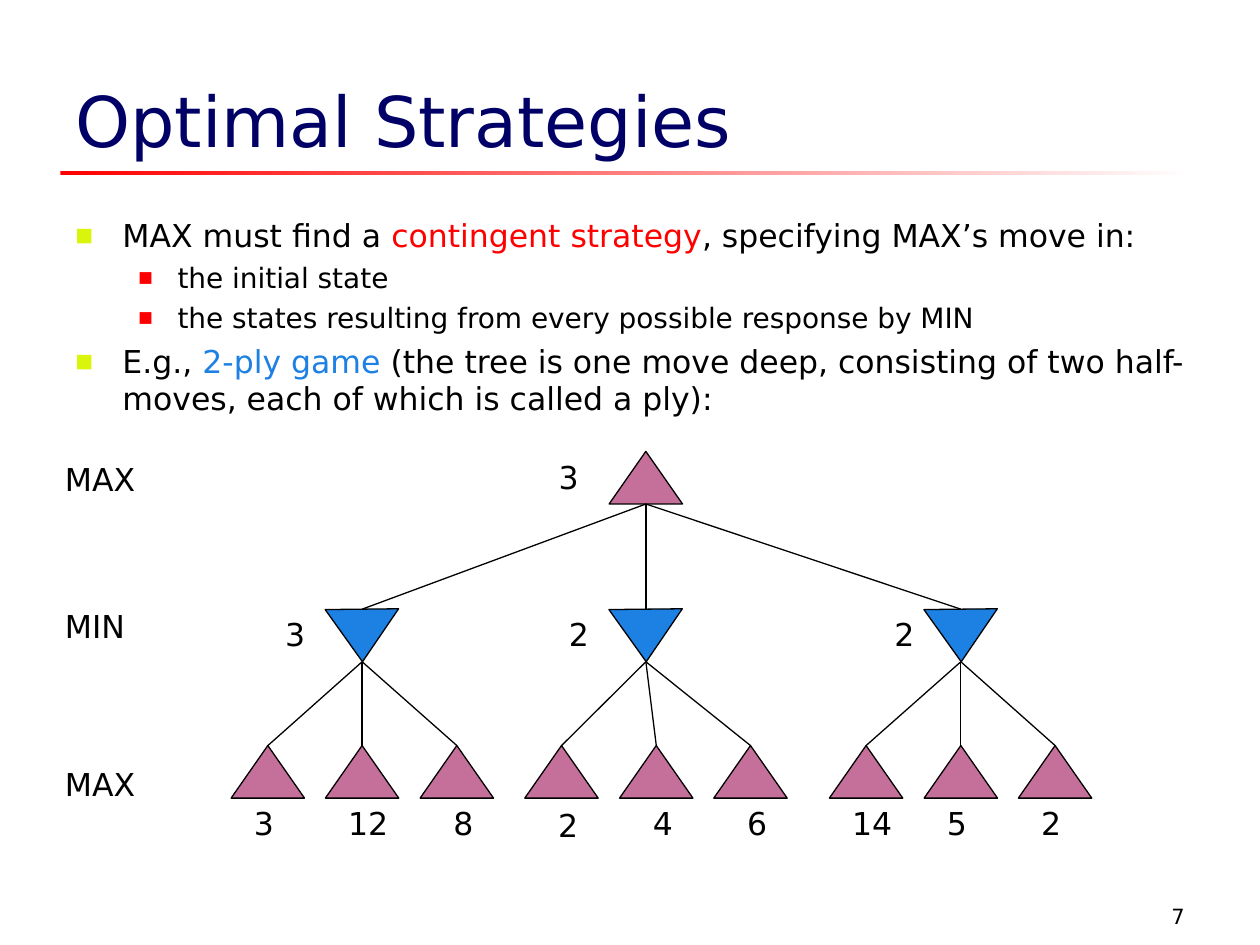
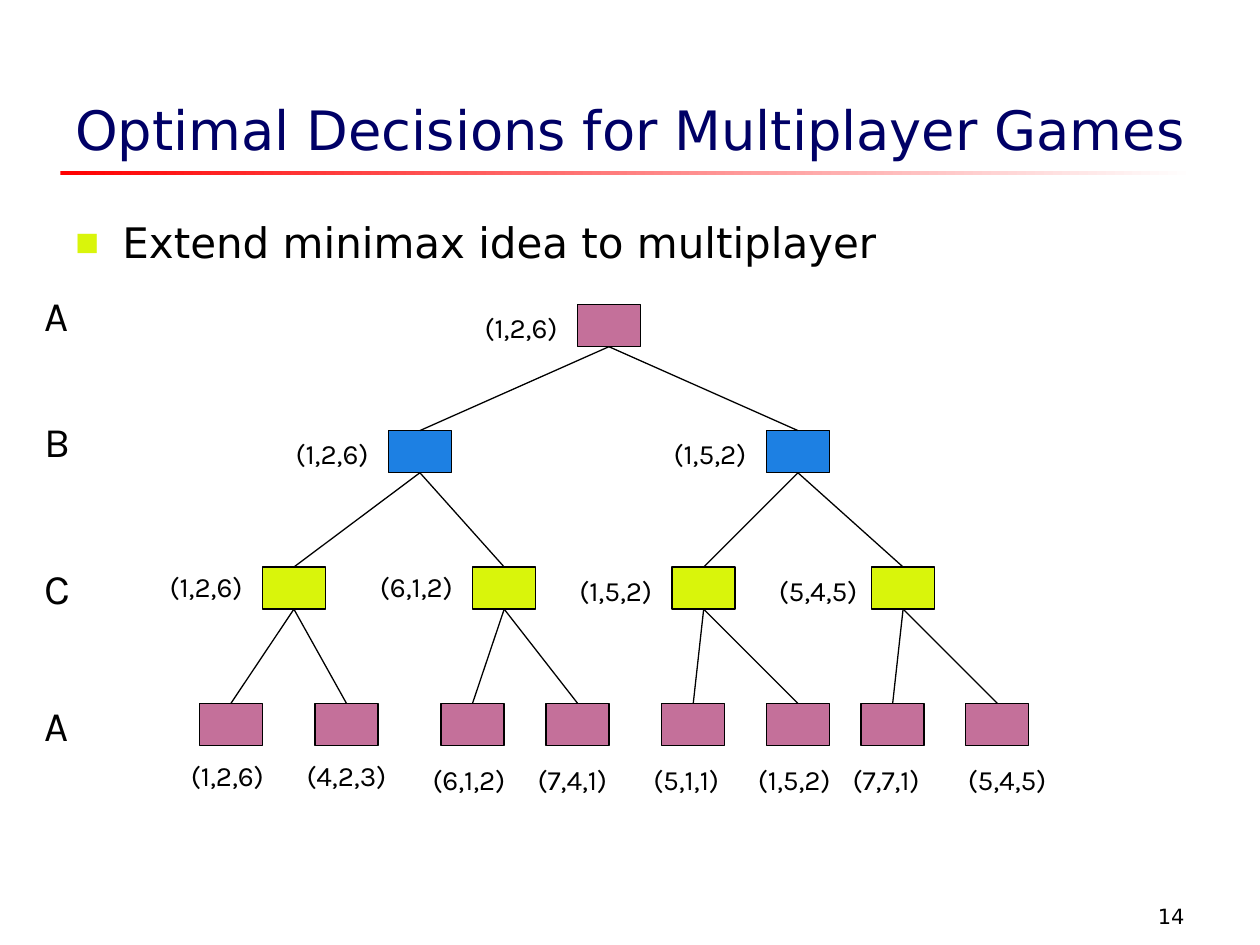
import lxml.etree
import pptx
import pptx.dml.color
import pptx.enum.shapes
import pptx.enum.text
import pptx.oxml.ns
import pptx.util

Cm = pptx.util.Cm
Pt = pptx.util.Pt
RGBColor = pptx.dml.color.RGBColor
SHAPE = pptx.enum.shapes.MSO_SHAPE
ANCHOR = pptx.enum.text.MSO_ANCHOR
ALIGN = pptx.enum.text.PP_ALIGN

BLACK = RGBColor(0x00, 0x00, 0x00)
WHITE = RGBColor(0xFF, 0xFF, 0xFF)
NAVY = RGBColor(0x00, 0x00, 0x66)
RED = RGBColor(0xFF, 0x00, 0x00)
BLUE = RGBColor(0x1D, 0x80, 0xE3)
PINK = RGBColor(0xC4, 0x70, 0x9A)
LIME = RGBColor(0xD9, 0xF5, 0x0B)

MAIN_FONT = "DejaVu Sans"
PLAYER_FONT = "Karla"

# Bullet styles by level: left margin, hanging indent (cm), colour, size (%)
BULLETS = [(0.95, 0.95, LIME, 60), (2.06, 0.79, RED, 55)]

# Content. Lengths in cm. A tree row holds the player's name and its top, the
# top of the nodes, their colour and rotation, and the nodes themselves:
# (left, value, value offset across, value offset down).
SLIDES = [
    {
        "number": "7",
        "title": ("Optimal Strategies", 40),
        "body": [
            (0, 18, [("MAX must find a ", BLACK), ("contingent strategy", RED),
                     (", specifying MAX’s move in:", BLACK)]),
            (1, 16, [("the initial state", BLACK)]),
            (1, 16, [("the states resulting from every possible response by MIN", BLACK)]),
            (0, 18, [("E.g., ", BLACK), ("2-ply game", BLUE),
                     (" (the tree is one move deep, consisting of two half-moves, "
                      "each of which is called a ply):", BLACK)]),
        ],
        "body_height": 5.08,
        "tree": {
            "shape": SHAPE.ISOSCELES_TRIANGLE,
            "node_size": (1.48, 1.06),
            "font": MAIN_FONT,
            "player_box": (1.06, 3.81, 1.02, 18),   # left, width, height, points
            "value_box": (1.48, 1.02, 18),          # width, height, points
            "rows": [
                ("MAX", 9.14, 9.1, PINK, 0, [(12.28, "3", -1.27, 0)]),
                ("MIN", 12.12, 12.28, BLUE, 179.4, [
                    (6.56, "3", -1.06, 0), (12.28, "2", -1.06, 0), (18.63, "2", -0.85, 0)]),
                ("MAX", 15.29, 15.03, PINK, 0, [
                    (4.66, "3", 0.21, 1.06), (6.56, "12", 0.21, 1.06), (8.47, "8", 0.42, 1.06),
                    (10.58, "2", 0.42, 1.1), (12.49, "4", 0.42, 1.06), (14.39, "6", 0.42, 1.06),
                    (16.72, "14", 0.21, 1.06), (18.63, "5", 0.21, 1.06), (20.53, "2", 0.21, 1.06)]),
            ],
        },
    },
    {
        "number": "14",
        "title": ("Optimal Decisions for Multiplayer Games", 31),
        "body": [(0, 24, [("Extend minimax idea to multiplayer", BLACK)])],
        "body_height": 1.27,
        "tree": {
            "shape": SHAPE.RECTANGLE,
            "node_size": (1.27, 0.85),
            "font": PLAYER_FONT,
            "player_box": (0.64, 1.48, 1.27, 24),
            "value_box": (2.33, 0.93, 16),
            "rows": [
                ("A", 5.72, 6.14, PINK, 0, [(11.64, "(1,2,6)", -2.12, 0)]),
                ("B", 8.26, 8.68, BLUE, 0, [
                    (7.83, "(1,2,6)", -2.12, 0), (15.45, "(1,5,2)", -2.12, 0)]),
                ("C", 11.22, 11.43, LIME, 0, [
                    (5.29, "(1,2,6)", -2.12, -0.08), (9.53, "(6,1,2)", -2.12, -0.08),
                    (13.55, "(1,5,2)", -2.12, 0), (17.57, "(5,4,5)", -2.12, 0)]),
                ("A", 13.97, 14.18, PINK, 0, [
                    (4.02, "(1,2,6)", -0.42, 0.98), (6.35, "(4,2,3)", -0.42, 0.98),
                    (8.89, "(6,1,2)", -0.42, 1.06), (11.01, "(7,4,1)", -0.42, 1.06),
                    (13.34, "(5,1,1)", -0.42, 1.06), (15.45, "(1,5,2)", -0.42, 1.06),
                    (17.36, "(7,7,1)", -0.42, 1.06), (19.47, "(5,4,5)", -0.21, 1.06)]),
            ],
        },
    },
]


def add_text_frame(slide, left, top, width, height, anchor=ANCHOR.TOP):
    box = slide.shapes.add_textbox(Cm(left), Cm(top), Cm(width), Cm(height))
    box.text_frame.word_wrap = True
    box.text_frame.vertical_anchor = anchor
    return box.text_frame


def add_label(slide, text, left, top, width, height, size, font=MAIN_FONT,
              color=BLACK, anchor=ANCHOR.TOP, align=ALIGN.LEFT):
    paragraph = add_text_frame(slide, left, top, width, height, anchor).paragraphs[0]
    paragraph.text = text
    paragraph.alignment = align
    paragraph.font.size = Pt(size)
    paragraph.font.name = font
    paragraph.font.color.rgb = color


def add_bullet(paragraph, level):
    margin, hanging, color, percent = BULLETS[level]
    qn = pptx.oxml.ns.qn
    properties = paragraph._p.get_or_add_pPr()
    properties.set("marL", str(Cm(margin)))
    properties.set("indent", str(-Cm(hanging)))
    bullet_color = lxml.etree.SubElement(properties, qn("a:buClr"))
    lxml.etree.SubElement(bullet_color, qn("a:srgbClr")).set("val", str(color))
    lxml.etree.SubElement(properties, qn("a:buSzPct")).set("val", str(percent * 1000))
    lxml.etree.SubElement(properties, qn("a:buFont")).set("typeface", MAIN_FONT)
    lxml.etree.SubElement(properties, qn("a:buChar")).set("char", "■")


def add_body(slide, items, height):
    frame = add_text_frame(slide, 1.27, 4.24, 23.29, height)
    for index, (level, size, runs) in enumerate(items):
        paragraph = frame.add_paragraph() if index else frame.paragraphs[0]
        add_bullet(paragraph, level)
        paragraph.level = level
        if index:
            paragraph.space_before = Pt(round(size * 0.23, 1))
        paragraph.font.size = Pt(size)
        paragraph.font.name = MAIN_FONT
        for text, color in runs:
            run = paragraph.add_run()
            run.text = text
            run.font.color.rgb = color


def add_frame(slide, title, number):
    """Rule, title and slide number, alike on every slide."""
    rule = slide.shapes.add_shape(SHAPE.RECTANGLE, Cm(1.22), Cm(3.45), Cm(22.86), Cm(0.08))
    rule.shadow.inherit = False
    rule.line.fill.background()
    rule.fill.gradient()
    rule.fill.gradient_angle = 0
    for stop, position, color in zip(rule.fill.gradient_stops, (0, 1), (RED, WHITE)):
        stop.position = position
        stop.color.rgb = color
    text, size = title
    add_label(slide, text, 1.27, 0.2, 23.57, 3.18, size, color=NAVY, anchor=ANCHOR.BOTTOM)
    add_label(slide, number, 18.85, 17.58, 5.28, 1.27, 12,
              anchor=ANCHOR.BOTTOM, align=ALIGN.RIGHT)


def add_node(slide, kind, left, top, size, color, rotation):
    node = slide.shapes.add_shape(kind, Cm(left), Cm(top), Cm(size[0]), Cm(size[1]))
    node.shadow.inherit = False
    node.rotation = rotation
    node.fill.solid()
    node.fill.fore_color.rgb = color
    node.line.color.rgb = BLACK
    node.line.width = Pt(0.75)


def add_edge(slide, start, end):
    edge = slide.shapes.add_connector(
        pptx.enum.shapes.MSO_CONNECTOR.STRAIGHT, *map(Cm, start + end))
    edge.line.color.rgb = BLACK
    edge.line.width = Pt(0.75)
    lxml.etree.SubElement(edge._element.spPr, pptx.oxml.ns.qn("a:effectLst"))


def add_tree(slide, tree):
    node_width, node_height = tree["node_size"]
    player_left, player_width, player_height, player_size = tree["player_box"]
    value_width, value_height, value_size = tree["value_box"]
    parents = []
    for player, player_top, top, color, rotation, nodes in tree["rows"]:
        add_label(slide, player, player_left, player_top, player_width, player_height,
                  player_size, tree["font"])
        centers = [left + node_width / 2 for left, *_ in nodes]
        for index, (left, value, across, down) in enumerate(nodes):
            add_node(slide, tree["shape"], left, top, tree["node_size"], color, rotation)
            add_label(slide, value, left + across, top + down, value_width, value_height,
                      value_size, tree["font"])
            # Children are shared out evenly among the row above
            if parents:
                parent = parents[index * len(parents) // len(nodes)]
                add_edge(slide, parent, (centers[index], top))
        parents = [(center, top + node_height) for center in centers]


def main():
    presentation = pptx.Presentation()
    presentation.slide_width = Cm(25.4)
    presentation.slide_height = Cm(19.05)
    for content in SLIDES:
        slide = presentation.slides.add_slide(presentation.slide_layouts[6])
        add_frame(slide, content["title"], content["number"])
        add_body(slide, content["body"], content["body_height"])
        add_tree(slide, content["tree"])
    presentation.save("out.pptx")


if __name__ == "__main__":
    main()
